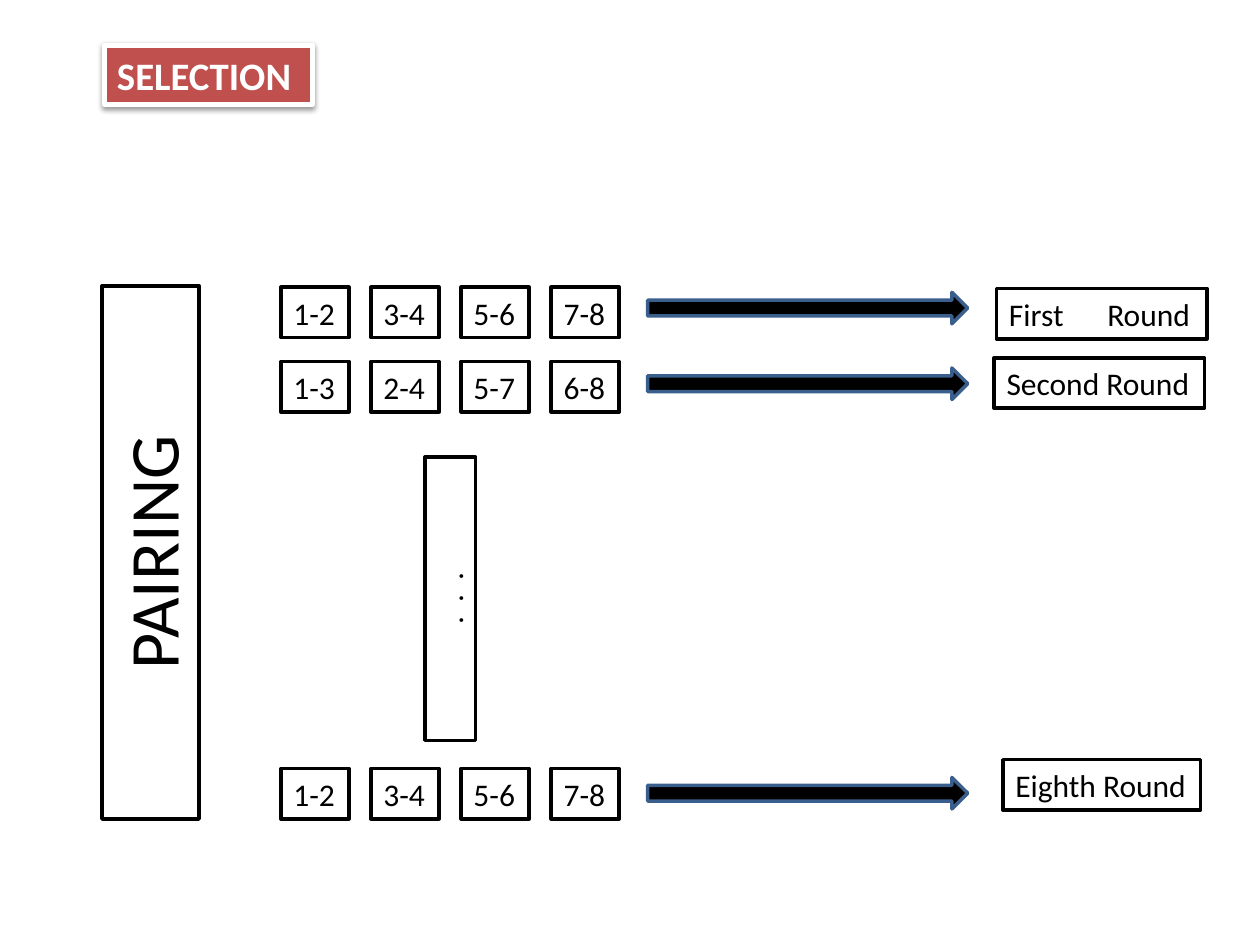
from lxml import etree
from pptx import Presentation
from pptx.dml.color import RGBColor
from pptx.enum.shapes import MSO_SHAPE as Shape
from pptx.enum.text import MSO_ANCHOR as Anchor, PP_ALIGN as Align
from pptx.oxml import parse_xml
from pptx.oxml.ns import nsdecls, qn
from pptx.util import Inches, Pt

COLORS = {"black": "000000", "white": "FFFFFF", "red": "C0504D", "blue": "3A5F8C"}
FONT = "Calibri"

# Content: pairs, top of the row, top of its arrow, label and label box
ROUNDS = [
    (["1-2", "3-4", "5-6", "7-8"], 2.28, 2.32, "First\tRound", (7.91, 2.29, 1.67, 0.4)),
    (["1-3", "2-4", "5-7", "6-8"], 2.87, 2.92, "Second Round", (7.89, 2.84, 1.67, 0.4)),
    (["1-2", "3-4", "5-6", "7-8"], 6.10, 6.17, "Eighth Round", (7.96, 6.03, 1.57, 0.4)),
]
# Upright bars: text, box before rotation, text size
BARS = [
    ("PAIRING", (-0.92, 4, 4.23, 0.77), 40),
    (".  .  .", (2.45, 4.55, 2.25, 0.4), 18),
]
PAIR_LEFT, PAIR_PITCH, PAIR_WIDTH, PAIR_HEIGHT = 2.23, 0.715, 0.54, 0.4
ARROW_LEFT, ARROW_WIDTH, ARROW_HEIGHT = 5.14, 2.54, 0.25
TAB_STOP = 0.78


def color(name):
    return RGBColor.from_string(COLORS[name])


def add_box(slide, box, fill="white", line="black", line_width=2, kind=Shape.RECTANGLE):
    shape = slide.shapes.add_shape(kind, *(Inches(length) for length in box))
    shape.shadow.inherit = False
    shape.fill.solid()
    shape.fill.fore_color.rgb = color(fill)
    shape.line.color.rgb = color(line)
    shape.line.width = Pt(line_width)
    return shape


def set_text(shape, text, size=18, ink="black", align=Align.LEFT, wrap=False):
    frame = shape.text_frame
    frame.word_wrap = wrap
    frame.vertical_anchor = Anchor.MIDDLE
    paragraph = frame.paragraphs[0]
    paragraph.text = text
    paragraph.alignment = align
    paragraph.font.name = FONT
    paragraph.font.size = Pt(size)
    paragraph.font.color.rgb = color(ink)
    return paragraph


def add_tab_stop(paragraph, position):
    properties = paragraph.font._element.getparent()
    tabs = etree.Element(qn("a:tabLst"))
    etree.SubElement(tabs, qn("a:tab"), pos=str(Inches(position)), algn="l")
    properties.insert(0, tabs)


def add_shadow(shape):
    properties = shape._element.spPr
    properties.remove(properties.find(qn("a:effectLst")))
    properties.append(parse_xml(
        f'<a:effectLst {nsdecls("a")}>'
        f'<a:outerShdw blurRad="{Pt(3.1)}" dist="{Pt(1.6)}" dir="5400000" rotWithShape="0">'
        f'<a:srgbClr val="{COLORS["black"]}"><a:alpha val="38000"/></a:srgbClr>'
        '</a:outerShdw></a:effectLst>'))


presentation = Presentation()
presentation.slide_width, presentation.slide_height = Inches(10), Inches(7.5)
slide = presentation.slides.add_slide(presentation.slide_layouts[6])

# Heading
heading = add_box(slide, (0.83, 0.36, 1.65, 0.47), "red", "white", 3)
set_text(heading, "SELECTION", 22.2, "white", wrap=True).font.bold = True
add_shadow(heading)

# Upright bars
for text, box, size in BARS:
    bar = add_box(slide, box)
    bar.rotation = 270
    set_text(bar, text, size, align=Align.CENTER, wrap=True)

# Rounds: pairs, arrow, label
for pairs, top, arrow_top, label, label_box in ROUNDS:
    for column, pair in enumerate(pairs):
        left = PAIR_LEFT + column * PAIR_PITCH
        set_text(add_box(slide, (left, top, PAIR_WIDTH, PAIR_HEIGHT)), pair)
    add_box(slide, (ARROW_LEFT, arrow_top, ARROW_WIDTH, ARROW_HEIGHT),
            "black", "blue", kind=Shape.RIGHT_ARROW)
    paragraph = set_text(add_box(slide, label_box), label, wrap="\t" in label)
    if "\t" in label:
        add_tab_stop(paragraph, TAB_STOP)

presentation.save("out.pptx")
